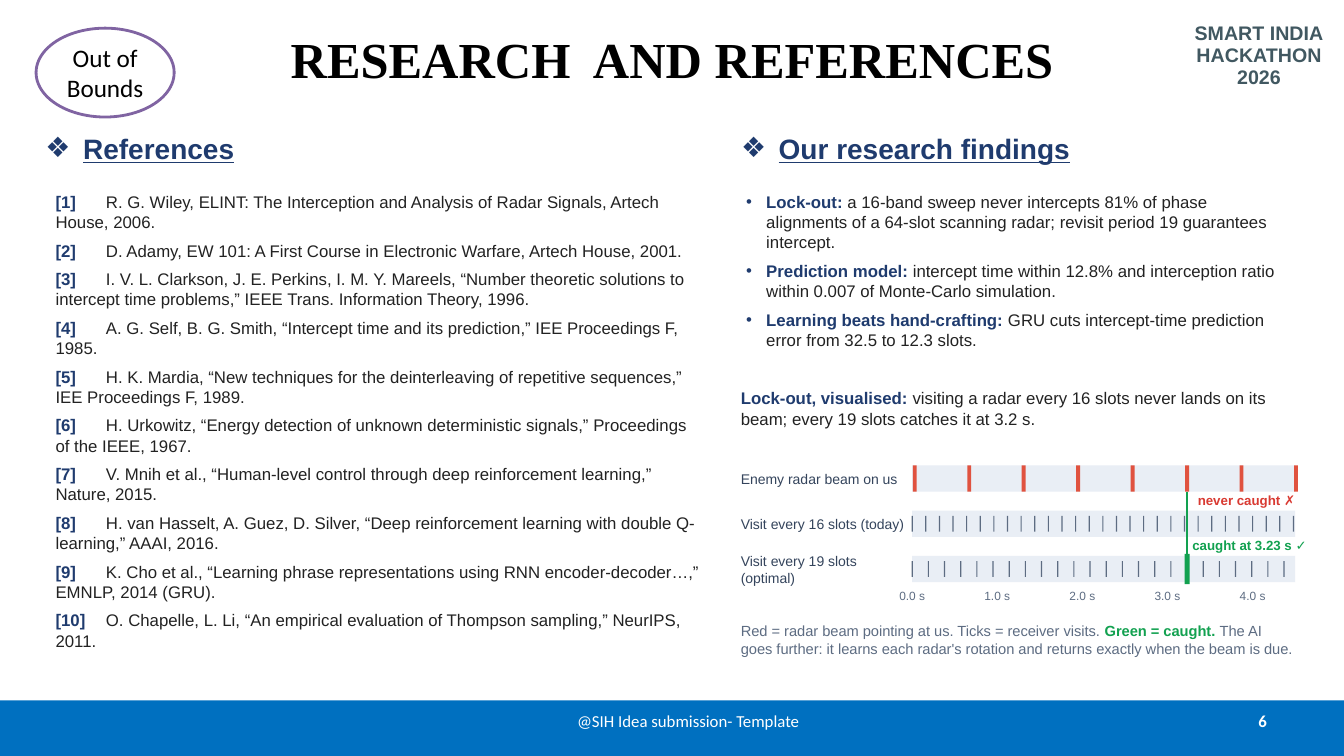
"""Build the research and references slide with its radar lock-out timeline."""
from dataclasses import dataclass
from typing import Optional

from lxml.etree import SubElement
from pptx import Presentation
from pptx.dml.color import RGBColor
from pptx.enum.shapes import MSO_CONNECTOR as Connector, MSO_SHAPE as Preset
from pptx.enum.text import MSO_ANCHOR as Anchor, MSO_AUTO_SIZE as AutoSize, PP_ALIGN as Align
from pptx.oxml.ns import qn
from pptx.shapes.autoshape import Shape
from pptx.slide import Slide
from pptx.util import Cm, Pt

COLOURS = {
    "white": "FFFFFF", "black": "000000", "footer": "0070C0", "navy": "1F3B6E",
    "ink": "222222", "purple": "8064A2", "event": "415861", "label": "34445C",
    "track": "E9EEF5", "beam": "E0523F", "slate": "5D6C82", "green": "12A150",
    "red": "D93A32",
}
PAGE_WIDTH, PAGE_HEIGHT = 33.87, 19.05
TRACK_LEFT, TRACK_TOP, TRACK_WIDTH, TRACK_HEIGHT, TRACK_PITCH = 22.99, 11.73, 9.65, 0.66, 1.14
SLOTS_SHOWN, SLOTS_PER_SECOND, CAUGHT_SLOT = 450, 100, 323

REFERENCES = [
    "R. G. Wiley, ELINT: The Interception and Analysis of Radar Signals, Artech House, 2006.",
    "D. Adamy, EW 101: A First Course in Electronic Warfare, Artech House, 2001.",
    "I. V. L. Clarkson, J. E. Perkins, I. M. Y. Mareels, “Number theoretic solutions to "
    "intercept time problems,” IEEE Trans. Information Theory, 1996.",
    "A. G. Self, B. G. Smith, “Intercept time and its prediction,” IEE Proceedings F, 1985.",
    "H. K. Mardia, “New techniques for the deinterleaving of repetitive sequences,” "
    "IEE Proceedings F, 1989.",
    "H. Urkowitz, “Energy detection of unknown deterministic signals,” "
    "Proceedings of the IEEE, 1967.",
    "V. Mnih et al., “Human-level control through deep reinforcement learning,” Nature, 2015.",
    "H. van Hasselt, A. Guez, D. Silver, “Deep reinforcement learning with double "
    "Q-learning,” AAAI, 2016.",
    "K. Cho et al., “Learning phrase representations using RNN encoder-decoder…,” "
    "EMNLP, 2014 (GRU).",
    "O. Chapelle, L. Li, “An empirical evaluation of Thompson sampling,” NeurIPS, 2011.",
]
FINDINGS = {
    "Lock-out: ": "a 16-band sweep never intercepts 81% of phase alignments of a 64-slot "
                  "scanning radar; revisit period 19 guarantees intercept.",
    "Prediction model: ": "intercept time within 12.8% and interception ratio within 0.007 "
                          "of Monte-Carlo simulation.",
    "Learning beats hand-crafting: ": "GRU cuts intercept-time prediction error from 32.5 "
                                      "to 12.3 slots.",
}


@dataclass
class Span:
    text: str
    colour: str
    bold: bool = False


@dataclass
class Para:
    spans: list[Span]
    size: float = 12
    font: str = "Arial"
    align: Align = Align.LEFT
    underline: bool = False
    bullet: str = ""
    indent: float = 0
    tab: float = 0
    after: float = 0
    spacing: float = 1


@dataclass
class Box:
    left: float
    top: float
    width: float
    height: float
    paras: list[Para]
    anchor: Anchor = Anchor.TOP
    inset: Optional[float] = None
    wrap: bool = True


@dataclass
class Track:
    label: str
    marks: range
    mark_width: float
    mark_inset: float
    colour: str


def rgb(name: str) -> RGBColor:
    """Look up a named colour."""
    return RGBColor.from_string(COLOURS[name])


def line_of(text: str, colour: str, bold: bool = False, **style) -> list[Para]:
    """Wrap one uniform text into a single paragraph."""
    return [Para([Span(text, colour, bold)], **style)]


def lead_in(lead: str, text: str, **style) -> Para:
    """Pair a bold navy lead with plain text."""
    return Para([Span(lead, "navy", True), Span(text, "ink")], **style)


def write_para(para, content: Para) -> None:
    """Format a paragraph and add its spans."""
    props = para._p.get_or_add_pPr()
    props.set("marL", str(Cm(content.indent)))
    props.set("indent", str(-Cm(content.indent)))
    if content.bullet:
        SubElement(props, qn("a:buChar"), char=content.bullet)
    else:
        SubElement(props, qn("a:buNone"))
    if content.tab:
        stops = SubElement(props, qn("a:tabLst"))
        SubElement(stops, qn("a:tab"), pos=str(Cm(content.tab)), algn="l")
    para.alignment, para.line_spacing = content.align, content.spacing
    para.space_before, para.space_after = Pt(0), Pt(content.after)
    para.font.name, para.font.size = content.font, Pt(content.size)
    para.font.underline = content.underline
    uniform = len(content.spans) == 1
    for span in content.spans:
        run = para.add_run()
        run.text = span.text
        font = para.font if uniform else run.font
        font.bold = span.bold
        font.color.rgb = rgb(span.colour)


def fill_box(shape: Shape, box: Box) -> None:
    """Place a text-bearing shape and write its paragraphs."""
    shape.left, shape.top = Cm(box.left), Cm(box.top)
    shape.width, shape.height = Cm(box.width), Cm(box.height)
    frame = shape.text_frame
    frame.auto_size, frame.word_wrap = AutoSize.NONE, box.wrap
    frame.vertical_anchor = box.anchor
    if box.inset is not None:
        frame.margin_left = frame.margin_right = Cm(box.inset)
        frame.margin_top = frame.margin_bottom = Cm(box.inset)
    for index, content in enumerate(box.paras):
        write_para(frame.add_paragraph() if index else frame.paragraphs[0], content)


def add_text(page: Slide, box: Box) -> None:
    """Add a text box."""
    fill_box(page.shapes.add_textbox(0, 0, 0, 0), box)


def add_block(page: Slide, left: float, top: float, width: float, height: float,
              colour: str, preset: Preset = Preset.RECTANGLE) -> Shape:
    """Add a flat filled shape without outline."""
    block = page.shapes.add_shape(preset, Cm(left), Cm(top), Cm(width), Cm(height))
    block.shadow.inherit = False
    block.fill.solid()
    block.fill.fore_color.rgb = rgb(colour)
    block.line.fill.background()
    return block


def slot_x(slot: float) -> float:
    """Convert a time slot to a horizontal position."""
    return TRACK_LEFT + TRACK_WIDTH * slot / SLOTS_SHOWN


def draw_track(page: Slide, track: Track, top: float) -> None:
    """Draw a labelled band with its marks."""
    add_text(page, Box(18.67, top, 4.19, TRACK_HEIGHT,
                       line_of(track.label, "label", size=10), Anchor.MIDDLE, 0))
    add_block(page, TRACK_LEFT, top, TRACK_WIDTH, TRACK_HEIGHT, "track")
    for slot in track.marks:
        caught = slot == CAUGHT_SLOT and track.colour == "slate"
        width, inset, colour = ((0.13, -0.05, "green") if caught else
                                (track.mark_width, track.mark_inset, track.colour))
        add_block(page, slot_x(slot) - width / 2, top + inset,
                  width, TRACK_HEIGHT - 2 * inset, colour)


def draw_timeline(page: Slide) -> None:
    """Draw the tracks, the catch line and the time axis."""
    tracks = [
        Track("Enemy radar beam on us", range(3, SLOTS_SHOWN + 2, 64), 0.1, 0, "beam"),
        Track("Visit every 16 slots (today)", range(0, SLOTS_SHOWN, 16), 0.03, 0.13, "slate"),
        Track("Visit every 19 slots (optimal)", range(0, SLOTS_SHOWN, 19), 0.03, 0.13, "slate"),
    ]
    for index, track in enumerate(tracks):
        draw_track(page, track, TRACK_TOP + index * TRACK_PITCH)
    catch_x = Cm(slot_x(CAUGHT_SLOT))
    catch = page.shapes.add_connector(Connector.STRAIGHT, catch_x, Cm(TRACK_TOP + TRACK_HEIGHT),
                                      catch_x, Cm(TRACK_TOP + 2 * TRACK_PITCH))
    catch.line.color.rgb, catch.line.width = rgb("green"), Pt(1.25)
    SubElement(catch._element.spPr, qn("a:effectLst"))
    add_text(page, Box(28.58, 12.37, 4.06, 0.46, line_of(
        "never caught ✗", "red", True, size=9.5, align=Align.RIGHT), Anchor.MIDDLE, 0))
    add_text(page, Box(30.05, 13.51, 3.7, 0.46, line_of(
        "caught at 3.23 s ✓", "green", True, size=9.5), Anchor.MIDDLE, 0))
    for second in range(5):
        add_text(page, Box(slot_x(second * SLOTS_PER_SECOND) - 0.64, 14.78, 1.28, 0.46, line_of(
            f"{second}.0 s", "slate", size=8.5, align=Align.CENTER), Anchor.MIDDLE, 0))


def fill_placeholders(page: Slide) -> None:
    """Write the title, both headings and both lists."""
    heading = {"size": 20, "underline": True, "bullet": "❖", "indent": 0.95}
    marks = [f"[{number}]" for number in range(1, len(REFERENCES) + 1)]
    boxes = [
        Box(1.7, -0.13, 30.48, 3.18, line_of("RESEARCH  AND REFERENCES", "black", True, size=36,
            font="Times New Roman", align=Align.CENTER), Anchor.MIDDLE),
        Box(0.89, 3.18, 16.76, 1.4, line_of("References", "navy", True, **heading)),
        Box(1.27, 4.7, 16.51, 12.57, [lead_in(f"{mark}\t", text, tab=0.25 * len(mark), after=6)
            for mark, text in zip(marks, REFERENCES)], inset=0.13),
        Box(18.42, 3.18, 14.48, 1.4, line_of("Our research findings", "navy", True, **heading)),
        Box(18.67, 4.7, 13.97, 5.84, [lead_in(lead, text, bullet="•", indent=0.51, after=6)
            for lead, text in FINDINGS.items()], inset=0.13),
    ]
    for shape, box in zip(page.placeholders, boxes):
        fill_box(shape, box)


def main() -> None:
    """Assemble and save the deck."""
    deck = Presentation()
    deck.slide_width, deck.slide_height = Cm(PAGE_WIDTH), Cm(PAGE_HEIGHT)
    page = deck.slides.add_slide(deck.slide_layouts.get_by_name("Comparison"))
    fill_placeholders(page)
    add_block(page, 0, 17.65, PAGE_WIDTH, 1.4, "footer")
    team = add_block(page, 0.91, 0.71, 3.48, 2.24, "white", Preset.OVAL)
    team.line.color.rgb, team.line.width = rgb("purple"), Pt(2)
    fill_box(team, Box(0.91, 0.71, 3.48, 2.24, line_of(
        "Out of Bounds", "black", size=18, font="Calibri", align=Align.CENTER), Anchor.MIDDLE))
    event = [Para([Span(text, "event", True)], size=14, align=Align.CENTER, spacing=0.95)
             for text in ("SMART INDIA", "HACKATHON", "2026")]
    legend = Para([
        Span("Red = radar beam pointing at us. Ticks = receiver visits. ", "slate"),
        Span("Green = caught. ", "green", True),
        Span("The AI goes further: it learns each radar's rotation and returns exactly "
             "when the beam is due.", "slate")], size=10.5)
    for box in (
        Box(12.9, 17.65, 8.89, 1.02, line_of("@SIH Idea submission- Template", "white",
            font="Calibri", align=Align.CENTER), Anchor.MIDDLE),
        Box(24.28, 17.65, 7.9, 1.02, line_of("6", "white", True, font="Calibri",
            align=Align.RIGHT), Anchor.MIDDLE),
        Box(29.95, 0.56, 3.56, 2.54, event, inset=0, wrap=False),
        Box(18.54, 9.65, 14.22, 1.57, [lead_in("Lock-out, visualised: ",
            "visiting a radar every 16 slots never lands on its beam; "
            "every 19 slots catches it at 3.2 s.")], inset=0.13),
        Box(18.54, 15.54, 14.22, 1.57, [legend], inset=0.13),
    ):
        add_text(page, box)
    draw_timeline(page)
    deck.save("out.pptx")


if __name__ == "__main__":
    main()
